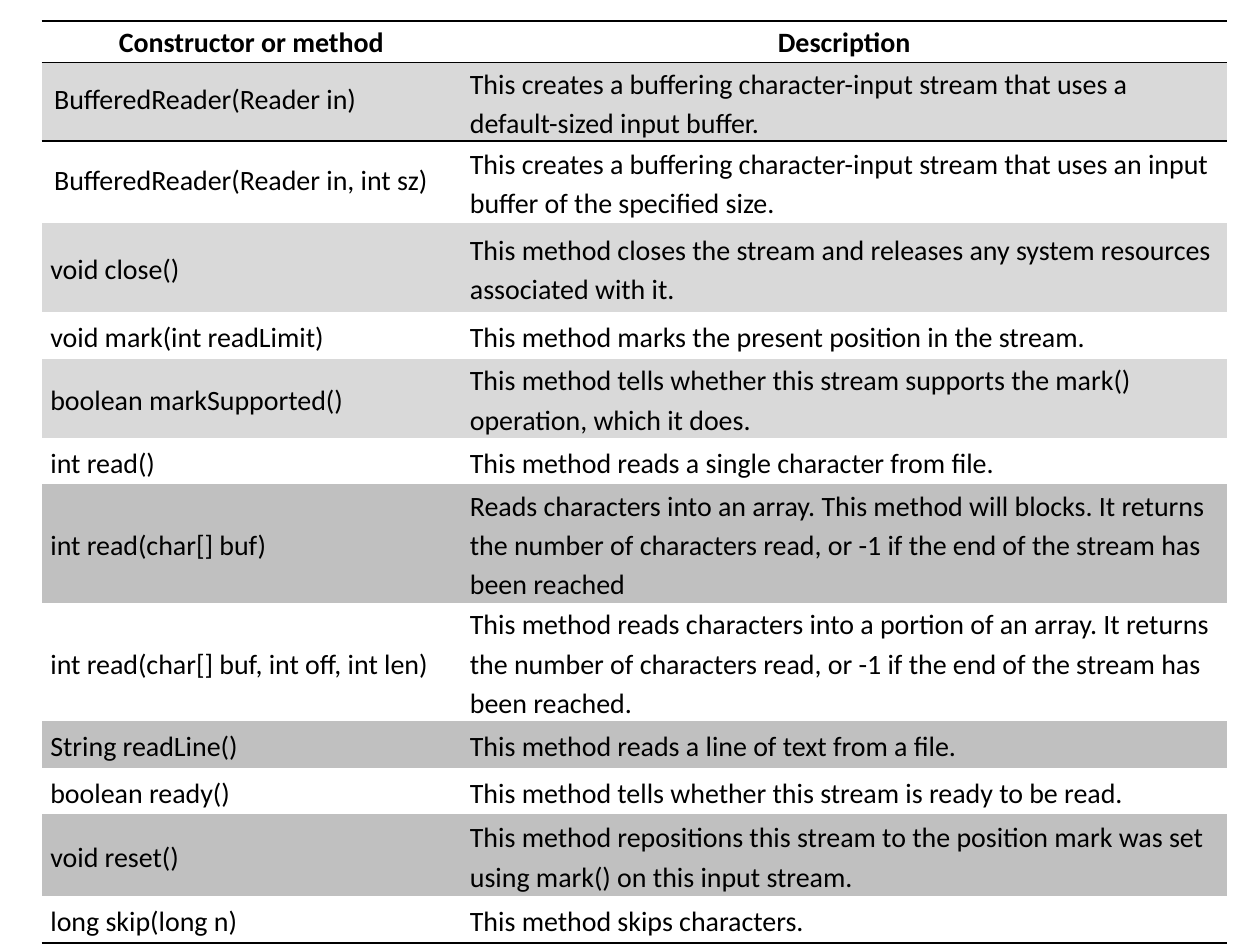
from lxml import etree
from pptx import Presentation
from pptx import util as u
from pptx.dml.color import RGBColor
from pptx.enum import text
from pptx.oxml import ns

NO_STYLE = "{2D5ABB26-0587-4C30-8999-92F81FD0307C}"
LIGHT, DARK, WHITE = "D9D9D9", "C0C0C0", "FFFFFF"

HEADER = ("Constructor or method", "Description")
# signature, description, fill, row height in inches
METHODS = [
    ("BufferedReader(Reader in)",
     "This creates a buffering character-input stream that uses a "
     "default-sized input buffer.", LIGHT, 0.62),
    ("BufferedReader(Reader in, int sz)",
     "This creates a buffering character-input stream that uses an input "
     "buffer of the specified size.", None, 0.65),
    ("void close()",
     "This method closes the stream and releases any system resources "
     "associated with it.", LIGHT, 0.71),
    ("void mark(int readLimit)",
     "This method marks the present position in the stream.", None, 0.37),
    ("boolean markSupported()",
     "This method tells whether this stream supports the mark() operation, "
     "which it does.", LIGHT, 0.62),
    ("int read()",
     "This method reads a single character from file.", None, 0.37),
    ("int read(char[] buf)",
     "Reads characters into an array. This method will blocks. It returns the "
     "number of characters read, or -1 if the end of the stream has been reached",
     DARK, 0.94),
    ("int read(char[] buf, int off, int len)",
     "This method reads characters into a portion of an array. It returns the "
     "number of characters read, or -1 if the end of the stream has been reached.",
     None, 0.94),
    ("String readLine()",
     "This method reads a line of text from a file.", DARK, 0.37),
    ("boolean ready()",
     "This method tells whether this stream is ready to be read.", WHITE, 0.37),
    ("void reset()",
     "This method repositions this stream to the position mark was set using "
     "mark() on this input stream.", DARK, 0.65),
    ("long skip(long n)", "This method skips characters.", None, 0.37),
]
HEADER_HEIGHT = 0.33


def color(value):
    return RGBColor.from_string(value)


class Deck:
    font, size, ink = "Calibri", u.Pt(16), "000000"

    def __init__(self, width, height):
        self.prs = Presentation()
        self.prs.slide_width, self.prs.slide_height = u.Inches(width), u.Inches(height)
        self.slide = self.prs.slides.add_slide(self.prs.slide_layouts[6])

    def table(self, left, top, column_shares, row_heights):
        """Place a plain table; left, top and columns are shares of the slide."""
        width, height = self.prs.slide_width, self.prs.slide_height
        grid = self.slide.shapes.add_table(
            len(row_heights), len(column_shares),
            int(width * left), int(height * top),
            int(width * sum(column_shares)), u.Inches(sum(row_heights))).table
        grid.first_row = grid.horz_banding = False
        grid._tbl.tblPr.find(ns.qn("a:tableStyleId")).text = NO_STYLE
        for column, share in zip(grid.columns, column_shares):
            column.width = int(width * share)
        for row, row_height in zip(grid.rows, row_heights):
            row.height = u.Inches(row_height)
        return grid

    def cell(self, cell, content, fill=None, heading=False, rules=()):
        cell.margin_left = cell.margin_right = u.Inches(0.07)
        cell.margin_top = cell.margin_bottom = 0
        cell.vertical_anchor = (text.MSO_ANCHOR.TOP if heading
                                else text.MSO_ANCHOR.MIDDLE)
        cell.text_frame.text = content
        paragraph = cell.text_frame.paragraphs[0]
        paragraph.line_spacing = 1.15
        paragraph.alignment = text.PP_ALIGN.CENTER if heading else text.PP_ALIGN.LEFT
        font = paragraph.runs[0].font
        font.name, font.size, font.bold = self.font, self.size, heading
        font.color.rgb = color(self.ink)
        if fill:
            cell.fill.solid()
            cell.fill.fore_color.rgb = color(fill)
        else:
            cell.fill.background()
        self.borders(cell, rules)
        return paragraph

    def borders(self, cell, sides):
        """Draw 1 pt rules on the given sides, listed in the order T, B."""
        properties = cell._tc.get_or_add_tcPr()
        for position, side in enumerate(sides):
            line = etree.Element(ns.qn(f"a:ln{side}"), w=str(u.Pt(1)))
            solid = etree.SubElement(line, ns.qn("a:solidFill"))
            etree.SubElement(solid, ns.qn("a:srgbClr"), val=self.ink)
            properties.insert(position, line)


def main():
    deck = Deck(10, 7.5)
    heights = [HEADER_HEIGHT] + [method[3] for method in METHODS]
    reference = deck.table(0.033, 0.022, (0.333, 0.608), heights)

    # Header row
    for column, heading in enumerate(HEADER):
        deck.cell(reference.cell(0, column), heading, heading=True, rules="TB")

    # Constructors and methods
    for row, (signature, description, fill, _) in enumerate(METHODS, start=1):
        rules = {1: "T", len(METHODS): "B"}.get(row, "")
        name = deck.cell(reference.cell(row, 0), signature, fill, rules=rules)
        deck.cell(reference.cell(row, 1), description, fill, rules=rules)
        if signature.startswith("BufferedReader"):
            name.line_spacing, name.space_after = u.Pt(18), u.Pt(12)
            name._p.get_or_add_pPr().set("marL", str(u.Inches(0.03)))

    deck.prs.save("out.pptx")


if __name__ == "__main__":
    main()
